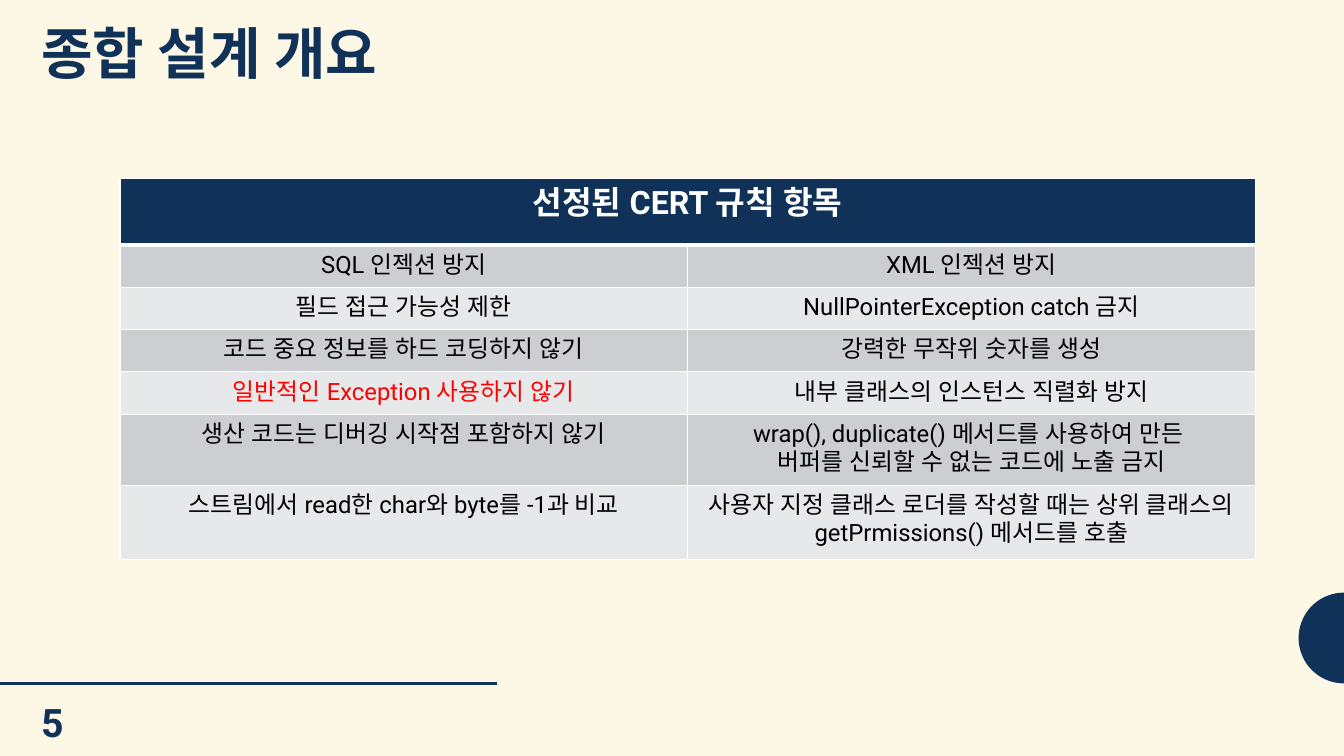
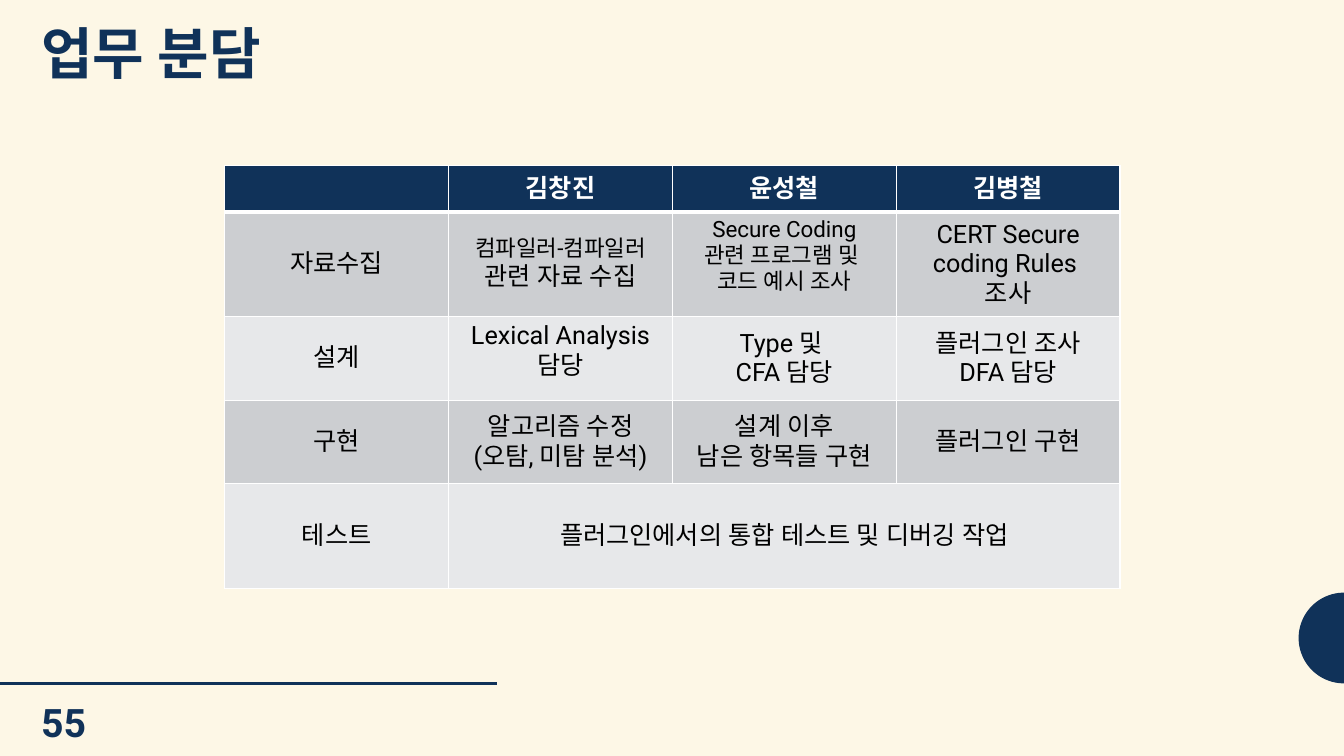
"""Two table slides: the selected CERT rules and the division of work."""
from math import cos, pi, sin

from lxml import etree
from pptx import Presentation
from pptx.dml.color import RGBColor
from pptx.enum.shapes import MSO_CONNECTOR
from pptx.enum.text import MSO_ANCHOR, PP_ALIGN
from pptx.oxml.ns import qn
from pptx.util import Inches, Pt

NAVY = RGBColor(0x10, 0x32, 0x59)
CREAM = RGBColor(0xFD, 0xF7, 0xE6)
WHITE = RGBColor(0xFF, 0xFF, 0xFF)
BLACK = RGBColor(0, 0, 0)
RED = RGBColor(0xFF, 0, 0)
BANDS = (RGBColor(0xE7, 0xE8, 0xEA), RGBColor(0xCC, 0xCE, 0xD1))
FONT = "Roboto"
STRAIGHT = MSO_CONNECTOR.STRAIGHT
CENTER, LEFT = PP_ALIGN.CENTER, PP_ALIGN.LEFT
TOP, MIDDLE = MSO_ANCHOR.TOP, MSO_ANCHOR.MIDDLE
W, H = Inches(13.33), Inches(7.5)
MARGIN = Inches(0.31)
RULE_Y = Inches(6.78)
RADIUS = Inches(0.45)

SLIDES = [
    dict(
        title="종합 설계 개요", number="5", left=1.19, top=1.77, col=5.63,
        heights=[0.66] + [0.42] * 4 + [0.71, 0.73],
        head_size=23, size=17, anchor=TOP, inset=(0.13, 0.06),
        merge=((0, 0), (0, 1)),
        special={(4, 0): dict(color=RED)},
        rows=[
            ["선정된 CERT 규칙 항목", ""],
            ["SQL 인젝션 방지", "XML 인젝션 방지"],
            ["필드 접근 가능성 제한", "NullPointerException catch 금지"],
            ["코드 중요 정보를 하드 코딩하지 않기", "강력한 무작위 숫자를 생성"],
            ["일반적인 Exception 사용하지 않기", "내부 클래스의 인스턴스 직렬화 방지"],
            ["생산 코드는 디버깅 시작점 포함하지 않기",
             "wrap(), duplicate() 메서드를 사용하여 만든 \n버퍼를 신뢰할 수 없는 코드에 노출 금지"],
            ["스트림에서 read한 char와 byte를 -1과 비교",
             "사용자 지정 클래스 로더를 작성할 때는 상위 클래스의 getPrmissions() 메서드를 호출"],
        ],
    ),
    dict(
        title="업무 분담", number="55", left=2.23, top=1.64, col=2.22,
        heights=[0.46, 1.04, 0.83, 0.83, 1.04],
        head_size=18, size=18, anchor=MIDDLE, inset=(0.1, 0.05),
        merge=((4, 1), (4, 3)),
        special={(1, 1): dict(first=16), (1, 2): dict(size=16, anchor=TOP),
                 (2, 1): dict(anchor=TOP)},
        rows=[
            ["", "김창진", "윤성철", "김병철"],
            ["자료수집", "컴파일러-컴파일러\n관련 자료 수집",
             "Secure Coding\n관련 프로그램 및 \n코드 예시 조사",
             "CERT Secure coding Rules \n조사"],
            ["설계", "Lexical Analysis 담당", "Type 및 \nCFA 담당", "플러그인 조사\nDFA 담당"],
            ["구현", "알고리즘 수정\n(오탐, 미탐 분석)", "설계 이후\n남은 항목들 구현", "플러그인 구현"],
            ["테스트", "플러그인에서의 통합 테스트 및 디버깅 작업", "", ""],
        ],
    ),
]


def write(tf, text, size=18, color=NAVY, bold=False, align=LEFT, spacing=None,
          anchor=TOP, first=None):
    tf.word_wrap = True
    tf.vertical_anchor = anchor
    for i, line in enumerate(text.split("\n")):
        p = tf.add_paragraph() if i else tf.paragraphs[0]
        p.alignment = align
        p.line_spacing = spacing
        r = p.add_run()
        r.text = line
        r.font.size = Pt(first if first and i == 0 else size)
        r.font.bold = bold
        r.font.color.rgb = color
        r.font.name = FONT
        etree.SubElement(r.font._element, qn("a:ea"), typeface=FONT)


def add_border(cell, side, width):
    ln = etree.SubElement(cell._tc.get_or_add_tcPr(), qn("a:ln" + side), w=str(Pt(width)))
    fill = etree.SubElement(ln, qn("a:solidFill"))
    etree.SubElement(fill, qn("a:srgbClr"), val=str(WHITE))


prs = Presentation()
prs.slide_width, prs.slide_height = W, H
bg = prs.slide_master.background.fill
bg.solid()
bg.fore_color.rgb = CREAM

for spec_ in SLIDES:
    s = prs.slides.add_slide(prs.slide_layouts[6])

    arc = [(W - RADIUS * sin(pi * i / 48), RULE_Y - RADIUS * (1 - cos(pi * i / 48)))
           for i in range(49)]
    fb = s.shapes.build_freeform(*map(int, arc[0]))
    fb.add_line_segments([(int(x), int(y)) for x, y in arc[1:]])
    sp = fb.convert_to_shape()
    sp.shadow.inherit = False
    sp.fill.solid()
    sp.fill.fore_color.rgb = NAVY
    sp.line.fill.background()

    cxn = s.shapes.add_connector(STRAIGHT, 0, RULE_Y, int(W * 0.37), RULE_Y)
    cxn.line.color.rgb = NAVY
    cxn.line.width = Pt(2)
    etree.SubElement(cxn._element.spPr, qn("a:effectLst"))

    for text, top, width, height, size, spacing in (
            (spec_["title"], 0.21, W // 2, 0.79, 40, 0.9),
            (spec_["number"], 6.88, W // 15, 0.57, 28, None)):
        tb = s.shapes.add_textbox(MARGIN, Inches(top), width, Inches(height))
        write(tb.text_frame, text, size=size, bold=True, spacing=spacing)

    rows, heights = spec_["rows"], spec_["heights"]
    n_cols = len(rows[0])
    tbl = s.shapes.add_table(
        len(rows), n_cols, Inches(spec_["left"]), Inches(spec_["top"]),
        Inches(spec_["col"] * n_cols), Inches(sum(heights))).table
    tbl.first_row = tbl.horz_banding = False
    for row, height in zip(tbl.rows, heights):
        row.height = Inches(height)
    start, end = spec_["merge"]
    tbl.cell(*start).merge(tbl.cell(*end))

    for i, row in enumerate(rows):
        for j, text in enumerate(row):
            cell = tbl.cell(i, j)
            for side in "LRTB":
                add_border(cell, side, 3 if (i, side) in ((0, "B"), (1, "T")) else 1)
            cell.fill.solid()
            cell.fill.fore_color.rgb = BANDS[i % 2] if i else NAVY
            dx, dy = map(Inches, spec_["inset"])
            cell.margin_left = cell.margin_right = dx
            cell.margin_top = cell.margin_bottom = dy
            if text:
                fmt = dict(size=spec_["size"] if i else spec_["head_size"],
                           color=BLACK if i else WHITE, bold=i == 0,
                           align=CENTER, anchor=spec_["anchor"])
                fmt.update(spec_["special"].get((i, j), {}))
                cell.vertical_anchor = fmt.pop("anchor")
                write(cell.text_frame, text, anchor=None, **fmt)

prs.save("out.pptx")
